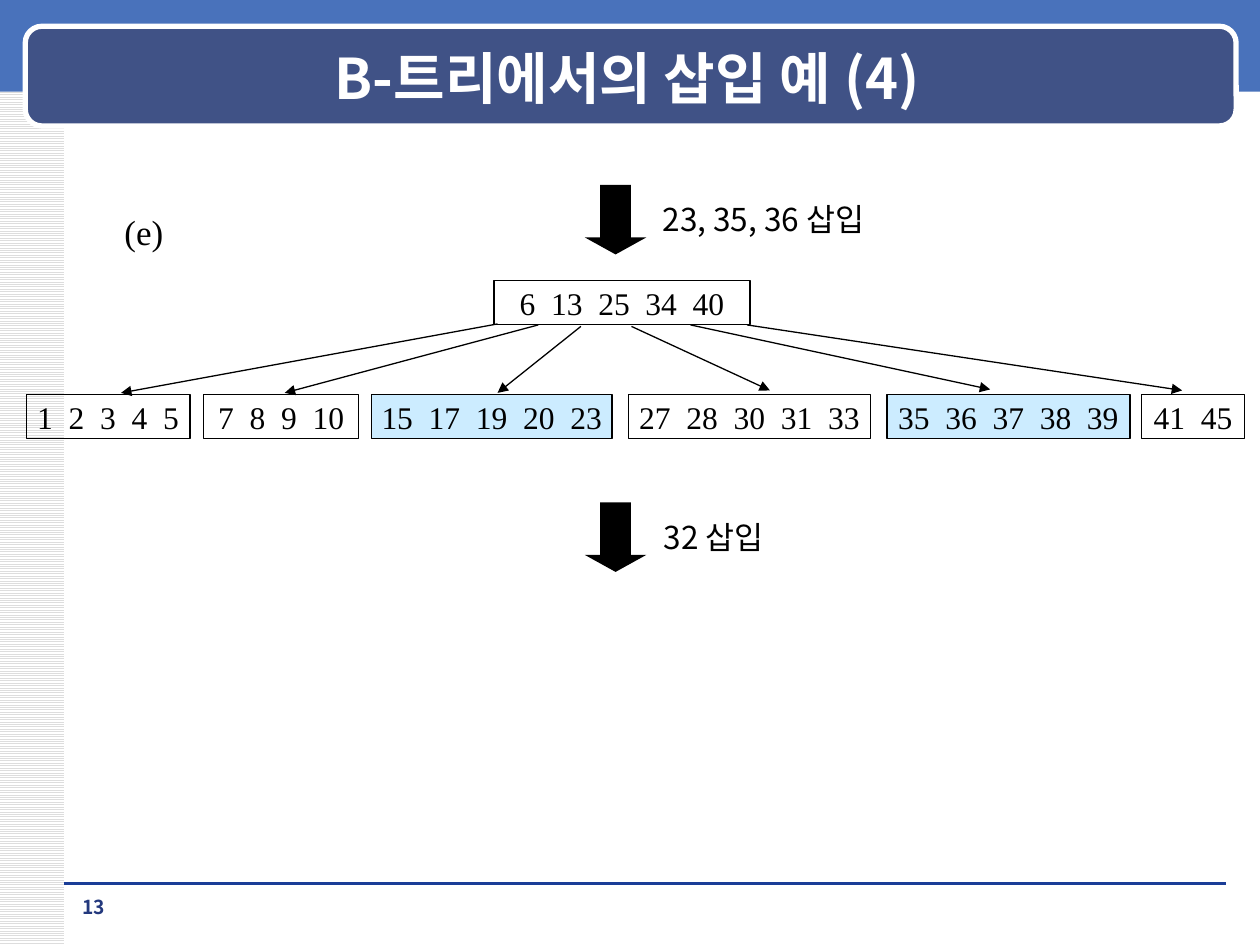
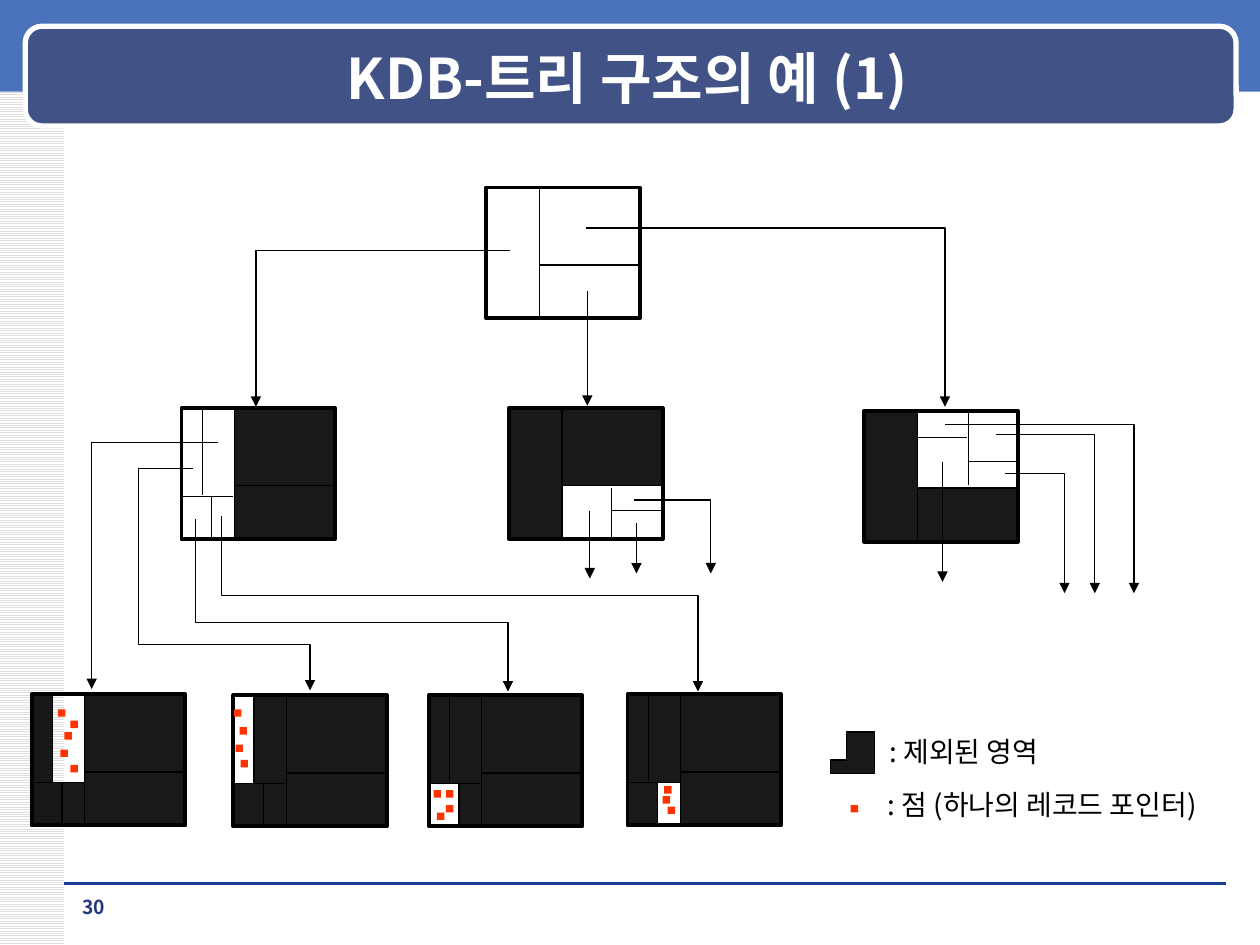
from lxml.etree import SubElement
from pptx import Presentation
from pptx.dml.color import RGBColor
from pptx.enum.dml import MSO_PATTERN
from pptx.enum.shapes import MSO_CONNECTOR, MSO_SHAPE as SHAPE
from pptx.enum.text import MSO_ANCHOR as ANCHOR, MSO_AUTO_SIZE as AUTO_SIZE, PP_ALIGN as ALIGN
from pptx.oxml.ns import qn
from pptx.util import Cm, Pt

COLORS = {
    "ink": "000000", "paper": "FFFFFF", "band": "4972BB", "panel": "405286",
    "rule": "1A3D97", "number": "23387D", "stripe": "DDDDDD",
    "changed": "CCECFF", "point": "FF3300",
}
RGB = {name: RGBColor.from_string(code) for name, code in COLORS.items()}
SANS, SERIF = "Noto Sans CJK KR", "Times New Roman"


def add_box(slide, kind, at, fill=None, line=None, width=0.75):
    """Add a preset shape; at is left, top, width, height in cm."""
    box = slide.shapes.add_shape(kind, *map(Cm, at))
    box.shadow.inherit = False
    for part, color in ((box.fill, fill), (box.line.fill, line)):
        if color:
            part.solid()
            part.fore_color.rgb = RGB[color]
        else:
            part.background()
    if line:
        box.line.width = Pt(width)
    return box


def add_path(slide, points, fill=None, arrow=False):
    """Add a connector through two points, or a freeform through more."""
    corners = [(Cm(x), Cm(y)) for x, y in points]
    if len(corners) == 2:
        path = slide.shapes.add_connector(MSO_CONNECTOR.STRAIGHT, *corners[0], *corners[1])
        SubElement(path._element.spPr, qn("a:effectLst"))
    else:
        builder = slide.shapes.build_freeform(*corners[0])
        builder.add_line_segments(corners[1:], close=bool(fill))
        path = builder.convert_to_shape()
        path.shadow.inherit = False
        if fill:
            path.fill.solid()
            path.fill.fore_color.rgb = RGB[fill]
        else:
            path.fill.background()
    path.line.color.rgb = RGB["ink"]
    path.line.width = Pt(0.75)
    if arrow:
        SubElement(path.line._get_or_add_ln(), qn("a:tailEnd"), type="triangle")
    return path


deck = Presentation()
deck.slide_width, deck.slide_height = Cm(25.4), Cm(19.05)
layout = deck.slide_layouts[5]

# Layout: keep only the title placeholder and place it on the panel
for placeholder in list(layout.placeholders):
    if placeholder.placeholder_format.idx:
        placeholder._element.getparent().remove(placeholder._element)
layout_title = layout.placeholders[0]
layout_title.left, layout_title.top = Cm(1.8), Cm(0.76)
layout_title.width, layout_title.height = Cm(21.69), Cm(1.57)

insertion = deck.slides.add_slide(layout)
structure = deck.slides.add_slide(layout)

# Bands shared by both slides, moved to the layout behind its title
sidebar = add_box(insertion, SHAPE.RECTANGLE, (0, 0, 1.3, 19.05))
sidebar.fill.patterned()
sidebar.fill.pattern = MSO_PATTERN.LIGHT_HORIZONTAL
sidebar.fill.fore_color.rgb = RGB["stripe"]
sidebar.fill.back_color.rgb = RGB["paper"]
top_band = add_box(insertion, SHAPE.RECTANGLE, (0, -0.08, 25.4, 1.93), "band")
footer_rule = add_path(insertion, [(1.3, 17.81), (24.71, 17.81)])
footer_rule.line.color.rgb = RGB["rule"]
footer_rule.line.width = Pt(0)
title_panel = add_box(insertion, SHAPE.ROUNDED_RECTANGLE, (0.51, 0.53, 24.41, 2.01),
                      "panel", "paper", 3)
for position, band in enumerate((sidebar, top_band, footer_rule, title_panel), start=2):
    layout.shapes._spTree.insert(position, band._element)

# Every text that needs a font: frame, text, font, size, colour, bold, alignment
texts = []

# Titles and page numbers
for slide, heading, number in (
    (insertion, "B-트리에서의 삽입 예 (4)", "13"),
    (structure, "KDB-트리 구조의 예 (1)", "30"),
):
    title = slide.shapes.title.text_frame
    title.vertical_anchor = ANCHOR.MIDDLE
    title.auto_size = AUTO_SIZE.NONE
    texts.append((title, heading, SANS, 32, "paper", True, ALIGN.CENTER))
    page_number = slide.shapes.add_textbox(Cm(1.3), Cm(17.93), Cm(1.19), Cm(0.69))
    texts.append((page_number.text_frame, number, SANS, 11, "number", True, ALIGN.CENTER))

# Insertion: step arrows
for step_top in (3.73, 10.13):
    step = add_box(insertion, SHAPE.DOWN_ARROW, (11.79, step_top, 1.24, 1.4), "ink")
    step.adjustments[0], step.adjustments[1] = 0.5, 0.276

# Insertion: root and leaf nodes
ROOT_TOP, LEAF_TOP = 5.66, 7.96
for keys, left, top, width, fill in (
    ("6  13  25  34  40", 9.96, ROOT_TOP, 5.16, None),
    ("1  2  3  4  5", 0.53, LEAF_TOP, 3.3, None),
    ("7  8  9  10", 4.11, LEAF_TOP, 3.12, None),
    ("15  17  19  20  23", 7.49, LEAF_TOP, 4.85, "changed"),
    ("27  28  30  31  33", 12.67, LEAF_TOP, 4.88, None),
    ("35  36  37  38  39", 17.88, LEAF_TOP, 4.9, "changed"),
    ("41  45", 23.01, LEAF_TOP, 2.08, None),
):
    node = add_box(insertion, SHAPE.RECTANGLE, (left, top, width, 0.88), fill, "ink")
    node.text_frame.vertical_anchor = ANCHOR.MIDDLE
    node.text_frame.word_wrap = False
    texts.append((node.text_frame, keys, SERIF, 18, "ink", False, ALIGN.CENTER))

# Insertion: pointers from the root to the leaves
for start, end in (
    ((10.03, 6.53), (2.44, 7.92)),
    ((10.85, 6.55), (5.74, 7.92)),
    ((11.71, 6.58), (10.03, 7.92)),
    ((12.73, 6.58), (15.52, 7.87)),
    ((13.92, 6.55), (19.96, 7.85)),
    ((15.06, 6.55), (23.83, 7.87)),
):
    add_path(insertion, (start, end), arrow=True)

# Structure: every page is cut at the same column and row
PAGE_W, PAGE_H = 3.1, 2.64
COLUMN, ROW, BOTTOM = 1.07, 1.56, 2.62
WEST_COLUMN, WEST_ROW, SOUTH_COLUMN = 0.42, 1.78, 0.61
POINT = 0.15
page_cuts = [((COLUMN, -0.03), (COLUMN, BOTTOM)), ((COLUMN, ROW), (PAGE_W, ROW))]
west_cuts = [
    ((0, WEST_ROW), (1.04, WEST_ROW)),
    ((WEST_COLUMN, 0), (WEST_COLUMN, 1.74)),
    ((SOUTH_COLUMN, WEST_ROW), (SOUTH_COLUMN, BOTTOM)),
]
south_east_cuts = [((2.06, 1.6), (2.06, PAGE_H)), ((2.06, 2.06), (3.07, 2.06))]
north_east_cuts = [
    ((2.11, 0.02), (2.11, 1.5)), ((COLUMN, 0.54), (2.08, 0.54)), ((2.11, 1.02), (3.07, 1.02)),
]

# Left, top, extra cuts, outline of the excluded area, record points
pages = [
    (9.8, 3.78, [], [], []),
    (3.66, 8.23, west_cuts, [], []),
    (10.26, 8.23, south_east_cuts,
     [(0, 0), (0, BOTTOM), (COLUMN, BOTTOM), (COLUMN, ROW), (PAGE_W, ROW), (PAGE_W, 0)], []),
    (17.42, 8.28, north_east_cuts,
     [(0, 0), (0, PAGE_H), (PAGE_W, PAGE_H), (PAGE_W, ROW), (COLUMN, ROW), (COLUMN, 0)], []),
    (0.64, 14, west_cuts,
     [(0, 0), (0, BOTTOM), (COLUMN, BOTTOM), (COLUMN, WEST_ROW),
      (WEST_COLUMN, WEST_ROW), (WEST_COLUMN, 0)],
     [(0.53, 0.3), (0.78, 0.53), (0.66, 0.76), (0.58, 1.11), (0.78, 1.42)]),
    (4.7, 14.02, west_cuts,
     [(WEST_COLUMN, 0), (WEST_COLUMN, WEST_ROW), (0, WEST_ROW), (0, BOTTOM),
      (COLUMN, BOTTOM), (COLUMN, 0)],
     [(0.02, 0.28), (0.13, 0.64), (0.05, 0.99), (0.15, 1.3)]),
    (8.64, 14.02, west_cuts,
     [(0, 0), (0, WEST_ROW), (SOUTH_COLUMN, WEST_ROW), (SOUTH_COLUMN, BOTTOM),
      (COLUMN, BOTTOM), (COLUMN, 0)],
     [(0.1, 1.91), (0.35, 1.91), (0.35, 2.21), (0.17, 2.36)]),
    (12.65, 14, west_cuts,
     [(0, 0), (0, BOTTOM), (SOUTH_COLUMN, BOTTOM), (SOUTH_COLUMN, WEST_ROW),
      (COLUMN, WEST_ROW), (COLUMN, 0)],
     [(0.74, 1.85), (0.71, 2.05), (0.81, 2.26)]),
]
excluded_areas = []
for left, top, cuts, outline, points in pages:
    add_box(structure, SHAPE.RECTANGLE, (left, top, PAGE_W, PAGE_H), None, "ink", 2.25)
    for cut in page_cuts + cuts:
        add_path(structure, [(left + x, top + y) for x, y in cut])
    if cuts is west_cuts:
        excluded_areas.append(add_box(structure, SHAPE.RECTANGLE,
                                      (left + COLUMN, top, 2.01, BOTTOM), "ink", "ink"))
    if outline:
        excluded_areas.append(
            add_path(structure, [(left + x, top + y) for x, y in outline], "ink"))
    for x, y in points:
        add_box(structure, SHAPE.RECTANGLE, (left + x, top + y, POINT, POINT), "point")

# Structure: pointers from regions to child pages
for pointer in (
    # from the root
    [(10.29, 5.05), (5.16, 5.05), (5.16, 8.2)],
    [(11.84, 5.87), (11.84, 8.18)],
    [(11.81, 4.6), (19.05, 4.6), (19.05, 8.2)],
    # from the left page
    [(4.39, 8.92), (1.85, 8.92), (1.85, 13.89)],
    [(3.89, 9.45), (2.79, 9.45), (2.79, 13), (6.25, 13), (6.25, 13.92)],
    [(3.94, 10.46), (3.94, 12.55), (10.24, 12.55), (10.24, 13.94)],
    [(4.47, 10.41), (4.47, 12.01), (14.07, 12.01), (14.07, 13.94)],
    # from the middle page
    [(11.89, 10.31), (11.89, 11.66)],
    [(12.83, 10.54), (12.83, 11.56)],
    [(12.78, 10.08), (14.33, 10.08), (14.33, 11.56)],
    # from the right page
    [(19, 9.32), (19, 11.73)],
    [(20.27, 9.55), (21.46, 9.55), (21.46, 11.96)],
    [(20.07, 8.76), (22.07, 8.76), (22.07, 11.96)],
    [(19.05, 8.56), (22.86, 8.56), (22.86, 11.96)],
):
    add_path(structure, pointer, arrow=True)

# Structure: legend symbols
excluded_areas.append(add_path(structure, [
    (17.07, 14.76), (17.07, 15.32), (16.74, 15.32),
    (16.74, 15.6), (17.63, 15.6), (17.63, 14.76)], "ink"))
add_box(structure, SHAPE.RECTANGLE, (17.15, 16.23, POINT, POINT), "point")

# Excluded areas let the cuts show through
for area in excluded_areas:
    area_color = area._element.spPr.find(qn("a:solidFill"))[0]
    SubElement(area_color, qn("a:alpha"), val="90000")

# Free labels of both slides
for slide, words, at, font, size in (
    (insertion, "23, 35, 36 삽입", (13.11, 3.91, 4.88, 1.02), SANS, 18),
    (insertion, "32 삽입", (13.13, 10.31, 2.72, 1.02), SANS, 18),
    (insertion, "(e)", (2.26, 4.11, 1.32, 1.09), SERIF, 20),
    (structure, ": 제외된 영역", (17.68, 14.68, 3.89, 0.94), SANS, 16),
    (structure, ": 점 (하나의 레코드 포인터)", (17.65, 15.75, 7.49, 0.94), SANS, 16),
):
    label = slide.shapes.add_textbox(*map(Cm, at)).text_frame
    label.word_wrap = False
    label.auto_size = AUTO_SIZE.SHAPE_TO_FIT_TEXT
    texts.append((label, words, font, size, "ink", False, ALIGN.LEFT))

# Write and format all texts
for frame, words, typeface, size, color, bold, align in texts:
    frame.text = words
    paragraph = frame.paragraphs[0]
    paragraph.alignment = align
    font = paragraph.font
    font.name, font.size, font.bold = typeface, Pt(size), bold
    font.color.rgb = RGB[color]
    SubElement(font._rPr, qn("a:ea"), typeface=typeface)

deck.save("out.pptx")
